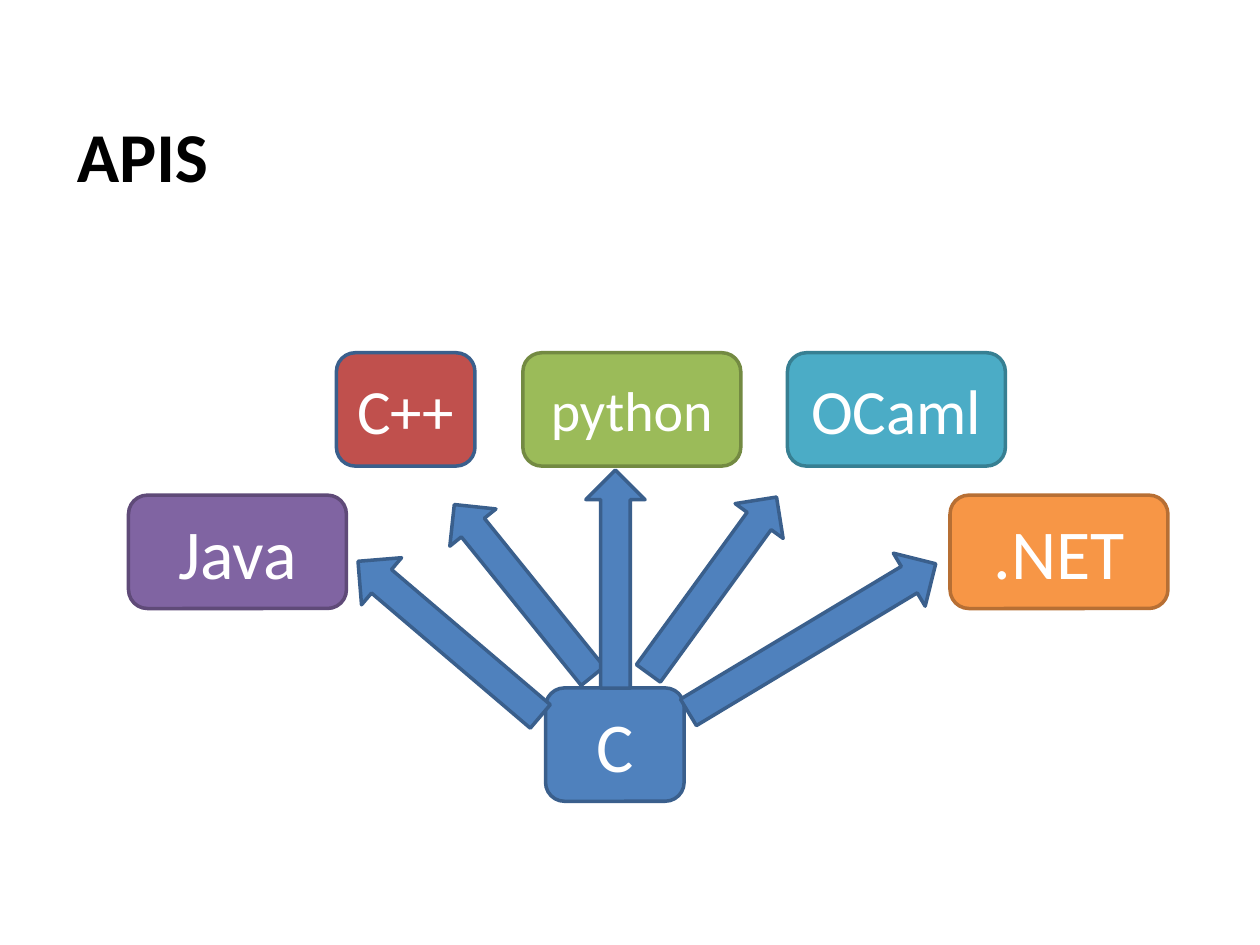
"""Builds a slide showing the language APIs that grow out of a C core."""
from dataclasses import dataclass

from pptx import Presentation
from pptx.dml.color import RGBColor
from pptx.enum.shapes import MSO_SHAPE
from pptx.enum.text import MSO_ANCHOR, PP_ALIGN
from pptx.util import Inches, Pt

SLIDE_WIDTH, SLIDE_HEIGHT = Inches(10), Inches(7.5)


@dataclass(frozen=True)
class Theme:
    """Holds the colours, font and type sizes of the slide."""
    font: str = "Calibri"
    title_ink: str = "000000"
    label_ink: str = "FFFFFF"
    blue: tuple = ("4F81BD", "3A5F8C")
    red: tuple = ("C0504D", "3A5F8C")
    green: tuple = ("9BBB59", "738A42")
    teal: tuple = ("4BACC6", "377F92")
    orange: tuple = ("F79646", "B76F34")
    purple: tuple = ("8064A2", "5F4A78")
    large: int = 40
    medium: int = 36
    small: int = 32
    outline: int = 2


THEME = Theme()
NARROW, WIDE, BOX_HEIGHT = 11, 17.3, 12
TOP_ROW, MIDDLE_ROW, CORE_ROW = 37.33, 52.4, 72.8

LANGUAGES = [
    ("C", 43.3, CORE_ROW, NARROW, THEME.blue, THEME.large),
    ("C++", 26.7, TOP_ROW, NARROW, THEME.red, THEME.medium),
    ("python", 41.5, TOP_ROW, WIDE, THEME.green, THEME.small),
    ("OCaml", 62.5, TOP_ROW, WIDE, THEME.teal, THEME.medium),
    (".NET", 75.4, MIDDLE_ROW, WIDE, THEME.orange, THEME.large),
    ("Java", 10.2, MIDDLE_ROW, WIDE, THEME.purple, THEME.large),
]

# Centre across, centre down, thickness, length, rotation.
BINDINGS = [
    (41.55, 62.47, 4.7, 23.33, 321.1),
    (48.85, 61.27, 4.7, 23.07, 0),
    (56.55, 61.93, 4.7, 23.07, 36),
    (64.45, 67.53, 4.9, 30.53, 59),
    (35.65, 67.6, 4.9, 25.33, 310.4),
]


def across(percent):
    """Return a share of the slide's width."""
    return round(SLIDE_WIDTH * percent / 100)


def down(percent):
    """Return a share of the slide's height."""
    return round(SLIDE_HEIGHT * percent / 100)


def style_text(paragraph, size, ink, bold=False):
    """Format the runs of a paragraph."""
    for run in paragraph.runs:
        run.font.name = THEME.font
        run.font.size = Pt(size)
        run.font.bold = bold
        run.font.color.rgb = RGBColor.from_string(ink)


def add_block(slide, preset, left, top, width, height, colours):
    """Add a filled, outlined preset shape placed in percent of the slide."""
    block = slide.shapes.add_shape(
        preset, across(left), down(top), across(width), down(height))
    fill, outline = colours
    block.shadow.inherit = False
    block.fill.solid()
    block.fill.fore_color.rgb = RGBColor.from_string(fill)
    block.line.color.rgb = RGBColor.from_string(outline)
    block.line.width = Pt(THEME.outline)
    return block


def add_language(slide, name, left, top, width, colours, size):
    """Add a rounded box labelled with a language."""
    box = add_block(slide, MSO_SHAPE.ROUNDED_RECTANGLE,
                    left, top, width, BOX_HEIGHT, colours)
    label = box.text_frame
    label.text = name
    label.vertical_anchor = MSO_ANCHOR.MIDDLE
    label.paragraphs[0].alignment = PP_ALIGN.CENTER
    style_text(label.paragraphs[0], size, THEME.label_ink)


def add_binding(slide, centre_x, centre_y, thickness, length, rotation):
    """Add a block arrow turned about its centre."""
    arrow = add_block(slide, MSO_SHAPE.UP_ARROW, centre_x - thickness / 2,
                      centre_y - length / 2, thickness, length, THEME.blue)
    arrow.rotation = rotation


def set_title(slide, wording):
    """Place and format the slide's title."""
    title = slide.shapes.title
    title.left, title.top = across(5.1), down(11.2)
    title.width, title.height = across(85), down(19.87)
    heading = title.text_frame
    heading.text = wording
    heading.vertical_anchor = MSO_ANCHOR.TOP
    heading.paragraphs[0].alignment = PP_ALIGN.LEFT
    style_text(heading.paragraphs[0], THEME.large, THEME.title_ink, bold=True)


def main():
    """Build and save the slide."""
    deck = Presentation()
    deck.slide_width, deck.slide_height = SLIDE_WIDTH, SLIDE_HEIGHT
    slide = deck.slides.add_slide(deck.slide_layouts.get_by_name("Title Only"))
    set_title(slide, "APIS")
    for language in LANGUAGES:
        add_language(slide, *language)
    for binding in BINDINGS:
        add_binding(slide, *binding)
    deck.save("out.pptx")


if __name__ == "__main__":
    main()
